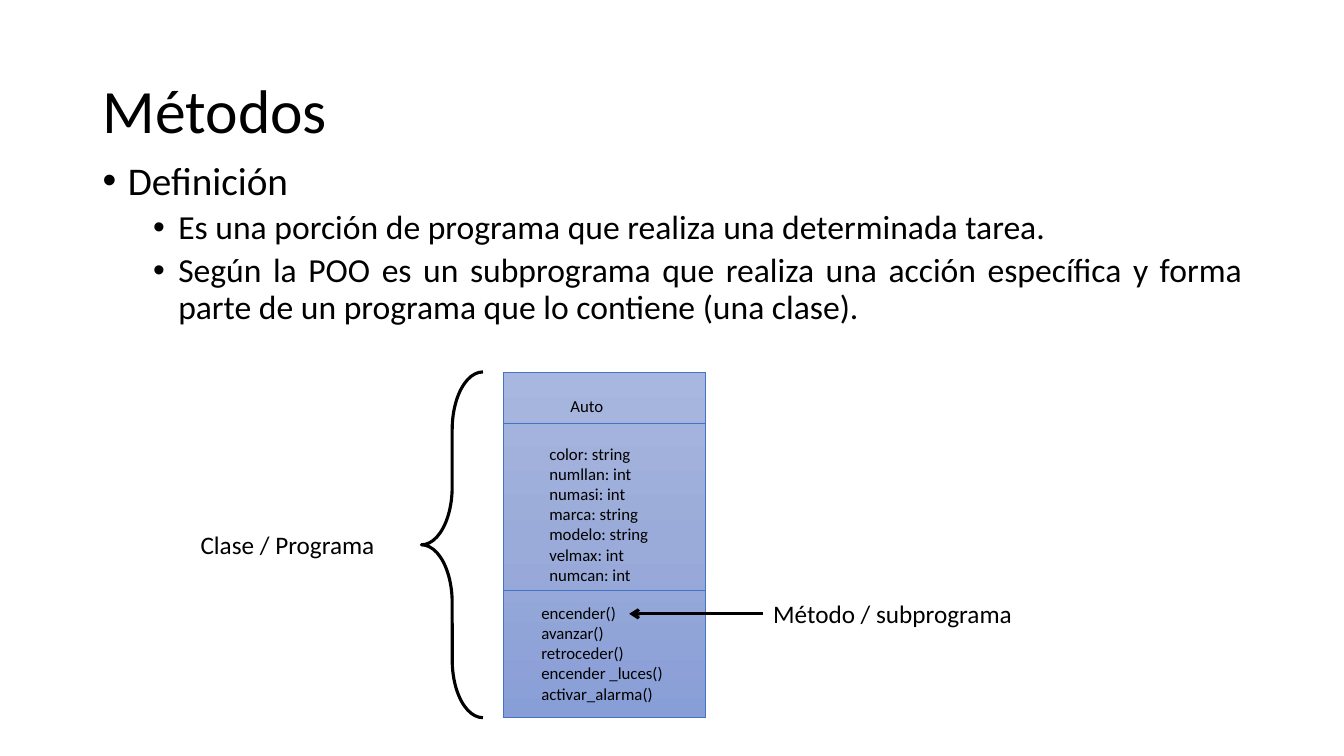
from copy import deepcopy

from pptx import Presentation
from pptx.dml.color import RGBColor
from pptx.enum.shapes import MSO_CONNECTOR as Line, MSO_SHAPE as Shape
from pptx.enum.text import MSO_ANCHOR as Anchor, MSO_AUTO_SIZE as AutoSize, PP_ALIGN as Align
from pptx.oxml.ns import qn
from pptx.util import Inches, Pt
from lxml.etree import SubElement

# Content
TITLE = "Métodos"
# text, size, space before, left margin, alignment, level
BULLETS = [
    ("Definición", 28, 10, 0.25, Align.LEFT, 0),
    ("Es una porción de programa que realiza una determinada tarea.",
     24, 5, 0.75, Align.JUSTIFY, 1),
    ("Según la POO es un subprograma que realiza una acción específica y forma "
     "parte de un programa que lo contiene (una clase).",
     24, 5, 0.75, Align.JUSTIFY, 1),
]
# left, top, width, height, lines
CLASS_PARTS = [
    (5.56, 3.88, 0.53, 0.3, ["Auto"]),
    (5.35, 4.35, 1.19, 1.51, ["color: string", "numllan: int", "numasi: int", "marca: string",
                              "modelo: string", "velmax: int", "numcan: int"]),
    (5.27, 5.93, 1.42, 1.11, ["encender()", "avanzar()", "retroceder()",
                              "encender _luces()", "activar_alarma()"]),
]
CLASS_LABEL = (1.89, 5.2, 1.95, 0.4, ["Clase / Programa"])
METHOD_LABEL = (7.57, 5.89, 2.6, 0.4, ["Método / subprograma"])

# Style and layout
FONT = "Calibri"
BLACK = RGBColor(0x00, 0x00, 0x00)
BLUE = RGBColor(0x44, 0x72, 0xC4)
GRADIENT = [(0, RGBColor(0xA8, 0xB7, 0xDF)), (0.5, RGBColor(0x9A, 0xAB, 0xD9)),
            (1, RGBColor(0x88, 0x9E, 0xD7))]
MARGIN, BODY_WIDTH = 0.92, 11.5
CLASS_LEFT, CLASS_TOP, CLASS_WIDTH, CLASS_HEIGHT = 4.99, 3.69, 2.01, 3.43
DIVIDERS = [4.2, 5.86]
ARROW_TIP = 6.24

deck = Presentation()
deck.slide_width, deck.slide_height = Inches(13.33), Inches(7.5)
page = deck.slides.add_slide(deck.slide_layouts[6])


def add_text(left, top, width, height, lines, size, wrap=False):
    box = page.shapes.add_textbox(*map(Inches, (left, top, width, height)))
    frame = box.text_frame
    frame.text = "\n".join(lines)
    frame.word_wrap = wrap
    frame.auto_size = AutoSize.NONE if wrap else AutoSize.SHAPE_TO_FIT_TEXT
    for para in frame.paragraphs:
        for span in para.runs:
            span.font.name, span.font.size = FONT, Pt(size)
            span.font.color.rgb = BLACK
    return box


def add_line(start, end, color, width):
    line = page.shapes.add_connector(Line.STRAIGHT, *map(Inches, start + end))
    line.line.color.rgb, line.line.width = color, Pt(width)
    SubElement(line._element.spPr, qn("a:effectLst"))
    return line


def add_outline(kind, left, top, width, height, color, weight):
    shape = page.shapes.add_shape(kind, *map(Inches, (left, top, width, height)))
    shape.shadow.inherit = False
    shape.line.color.rgb, shape.line.width = color, Pt(weight)
    return shape


# Title
title = add_text(MARGIN, 0.4, BODY_WIDTH, 1.45, [TITLE], 44, wrap=True).text_frame
title.vertical_anchor = Anchor.MIDDLE
title.paragraphs[0].line_spacing = 0.9

# Bullets
body = add_text(MARGIN, 1.55, BODY_WIDTH, 4.76, [item[0] for item in BULLETS], 24, wrap=True)
for para, (_, size, before, indent, align, level) in zip(body.text_frame.paragraphs, BULLETS):
    para.runs[0].font.size = Pt(size)
    para.line_spacing, para.space_before = 0.9, Pt(before)
    para.alignment, para.level = align, level
    props = para._p.get_or_add_pPr()
    props.set("marL", str(Inches(indent)))
    props.set("indent", str(-Inches(0.25)))
    SubElement(props, qn("a:buFont")).set("typeface", "Arial")
    SubElement(props, qn("a:buChar")).set("char", "•")

# Class box
class_box = add_outline(Shape.RECTANGLE, CLASS_LEFT, CLASS_TOP, CLASS_WIDTH, CLASS_HEIGHT,
                        BLUE, 0.5)
fill = class_box.fill
fill.gradient()
fill.gradient_angle = 270
first_stop = fill.gradient_stops[0]._gs
first_stop.addnext(deepcopy(first_stop))
for stop, (position, color) in zip(fill.gradient_stops, GRADIENT):
    stop.position, stop.color.rgb = position, color
for part in CLASS_PARTS:
    add_text(*part, 12)
for y in DIVIDERS:
    add_line((CLASS_LEFT, y), (CLASS_LEFT + CLASS_WIDTH, y), BLUE, 0.5)

# Brace and labels
brace = add_outline(Shape.LEFT_BRACE, 4.18, CLASS_TOP, 0.61, CLASS_HEIGHT, BLACK, 2.25)
brace.fill.background()
brace.adjustments[0] = 0.94
add_text(*CLASS_LABEL, 18)
method_label = add_text(*METHOD_LABEL, 18)

# Arrow from the label to the method
left, top, _, height, _ = METHOD_LABEL
arrow_y = top + height / 2
arrow = add_line((left, arrow_y), (ARROW_TIP, arrow_y), BLACK, 2.25)
arrow.begin_connect(method_label, 1)
SubElement(arrow.line._get_or_add_ln(), qn("a:tailEnd")).set("type", "arrow")

deck.save("out.pptx")
